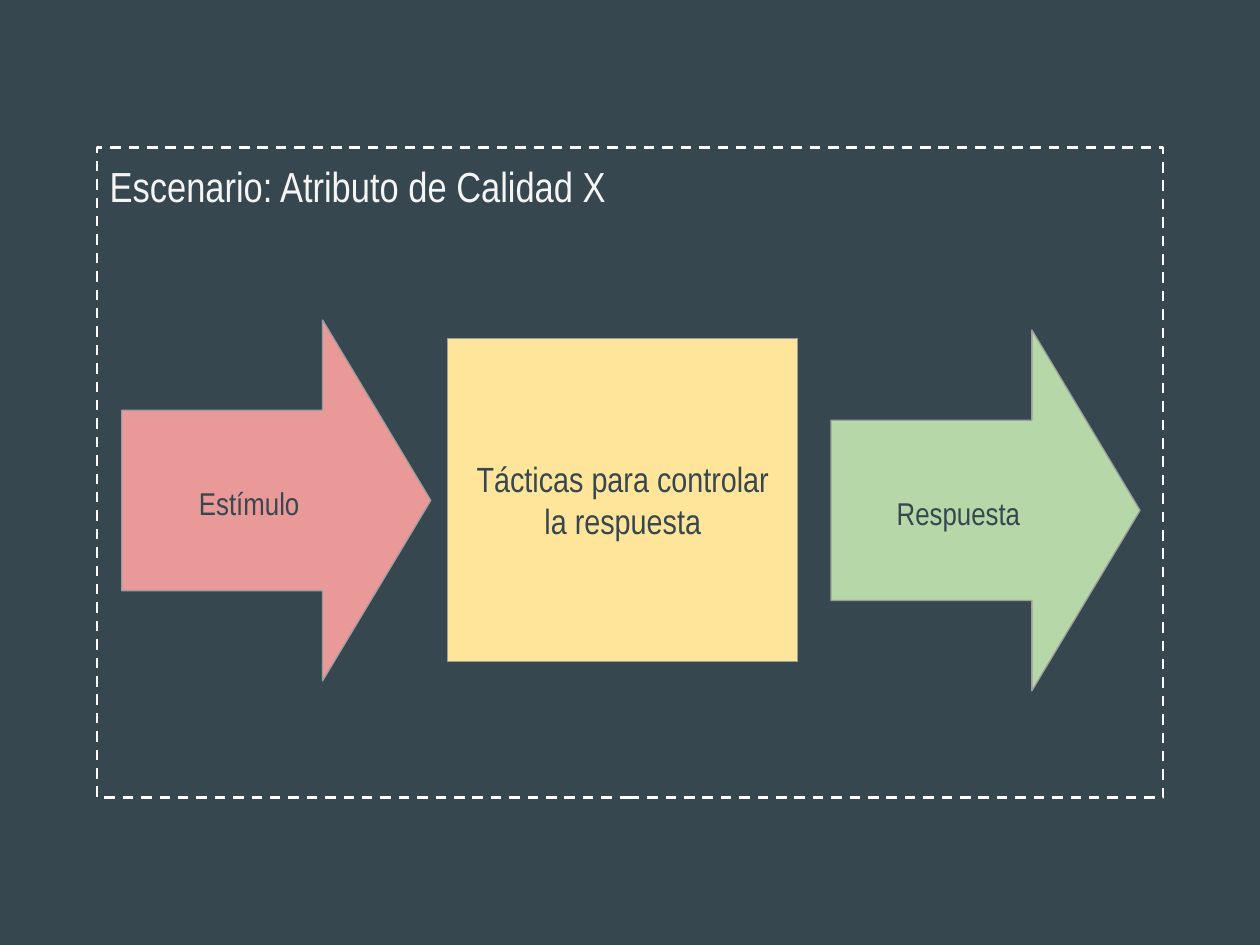
from pptx import Presentation
from pptx.dml.color import RGBColor
from pptx.enum.dml import MSO_LINE
from pptx.enum.shapes import MSO_SHAPE as Shape
from pptx.enum.text import MSO_ANCHOR as Anchor, MSO_AUTO_SIZE as AutoSize, PP_ALIGN as Align
from pptx.util import Pt

SLATE = RGBColor(0x37, 0x47, 0x4F)
WHITE = RGBColor(0xFF, 0xFF, 0xFF)
PALE = RGBColor(0xF5, 0xF5, 0xF5)
GREY = RGBColor(0x9E, 0x9E, 0x9E)
YELLOW = RGBColor(0xFF, 0xE5, 0x99)
RED = RGBColor(0xEA, 0x99, 0x99)
GREEN = RGBColor(0xB6, 0xD7, 0xA8)
FONT = "Arial Narrow"
INSET = 7.2

# Boxes as left, top, width, height in points
FRAME = (55.5, 84.3, 609.2, 371.5)
TACTICS = (255.9, 193.4, 200, 184.5)
ARROW_SIZE = (176.6, 206.2)
STIMULUS = (69.6, 182.9, *ARROW_SIZE)
RESPONSE = (474.9, 188.6, *ARROW_SIZE)


def write_lines(shape, lines, size, color, align, anchor, spacing=1.0):
    frame = shape.text_frame
    frame.word_wrap = True
    frame.auto_size = AutoSize.NONE
    frame.vertical_anchor = anchor
    frame.margin_left = frame.margin_right = Pt(INSET)
    frame.margin_top = frame.margin_bottom = Pt(INSET)
    for index, line in enumerate(lines):
        paragraph = frame.add_paragraph() if index else frame.paragraphs[0]
        paragraph.alignment = align
        paragraph.line_spacing = spacing
        paragraph.space_before = Pt(0)
        run = paragraph.add_run()
        run.text = line
        run.font.name = FONT
        run.font.size = Pt(size)
        run.font.color.rgb = color


def set_scenario(slide, box, text):
    """Title whose dashed outline encloses the whole scenario."""
    title = slide.shapes.title
    title.left, title.top, title.width, title.height = map(Pt, box)
    title.fill.background()
    title.line.color.rgb = WHITE
    title.line.width = Pt(1.5)
    title.line.dash_style = MSO_LINE.DASH
    write_lines(title, [text], 24, PALE, Align.LEFT, Anchor.TOP)


def add_block(slide, kind, box, fill, lines, size, spacing=1.0):
    shape = slide.shapes.add_shape(kind, *map(Pt, box))
    shape.shadow.inherit = False
    shape.fill.solid()
    shape.fill.fore_color.rgb = fill
    shape.line.color.rgb = GREY
    shape.line.width = Pt(0.75)
    write_lines(shape, lines, size, SLATE, Align.CENTER, Anchor.MIDDLE, spacing)
    return shape


def add_arrow(slide, box, fill, label):
    arrow = add_block(slide, Shape.RIGHT_ARROW, box, fill, [label], 18, 1.15)
    arrow.adjustments[0] = 0.5
    arrow.adjustments[1] = 0.35


def main():
    presentation = Presentation()
    presentation.slide_width, presentation.slide_height = Pt(720), Pt(540)
    slide = presentation.slides.add_slide(presentation.slide_layouts[5])
    slide.background.fill.solid()
    slide.background.fill.fore_color.rgb = SLATE

    # Scenario frame
    set_scenario(slide, FRAME, "Escenario: Atributo de Calidad X")

    # Stimulus, tactics and response
    add_block(slide, Shape.RECTANGLE, TACTICS, YELLOW,
              ["Tácticas para controlar", "la respuesta"], 20)
    add_arrow(slide, STIMULUS, RED, "Estímulo")
    add_arrow(slide, RESPONSE, GREEN, "Respuesta")

    presentation.save("out.pptx")


if __name__ == "__main__":
    main()
